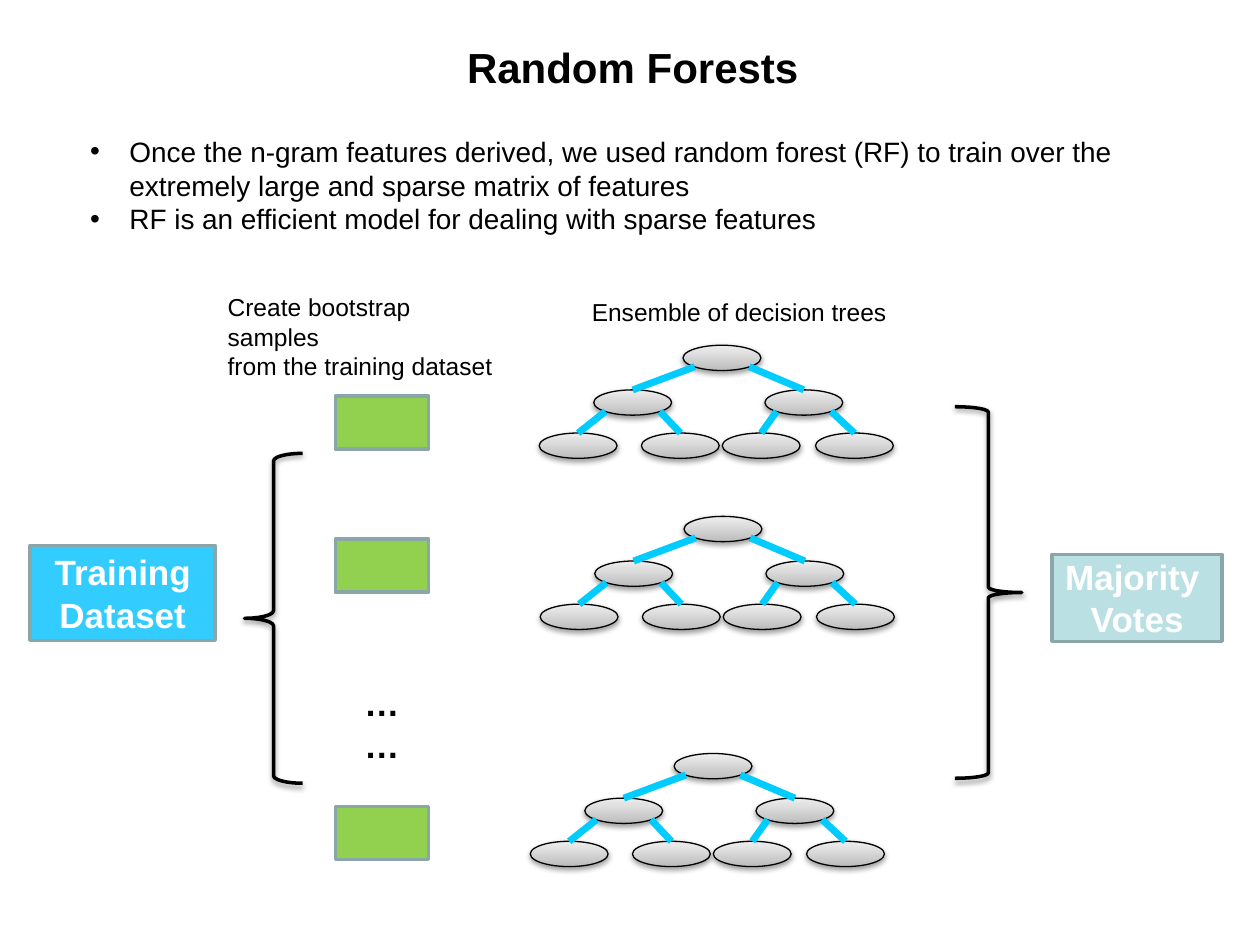
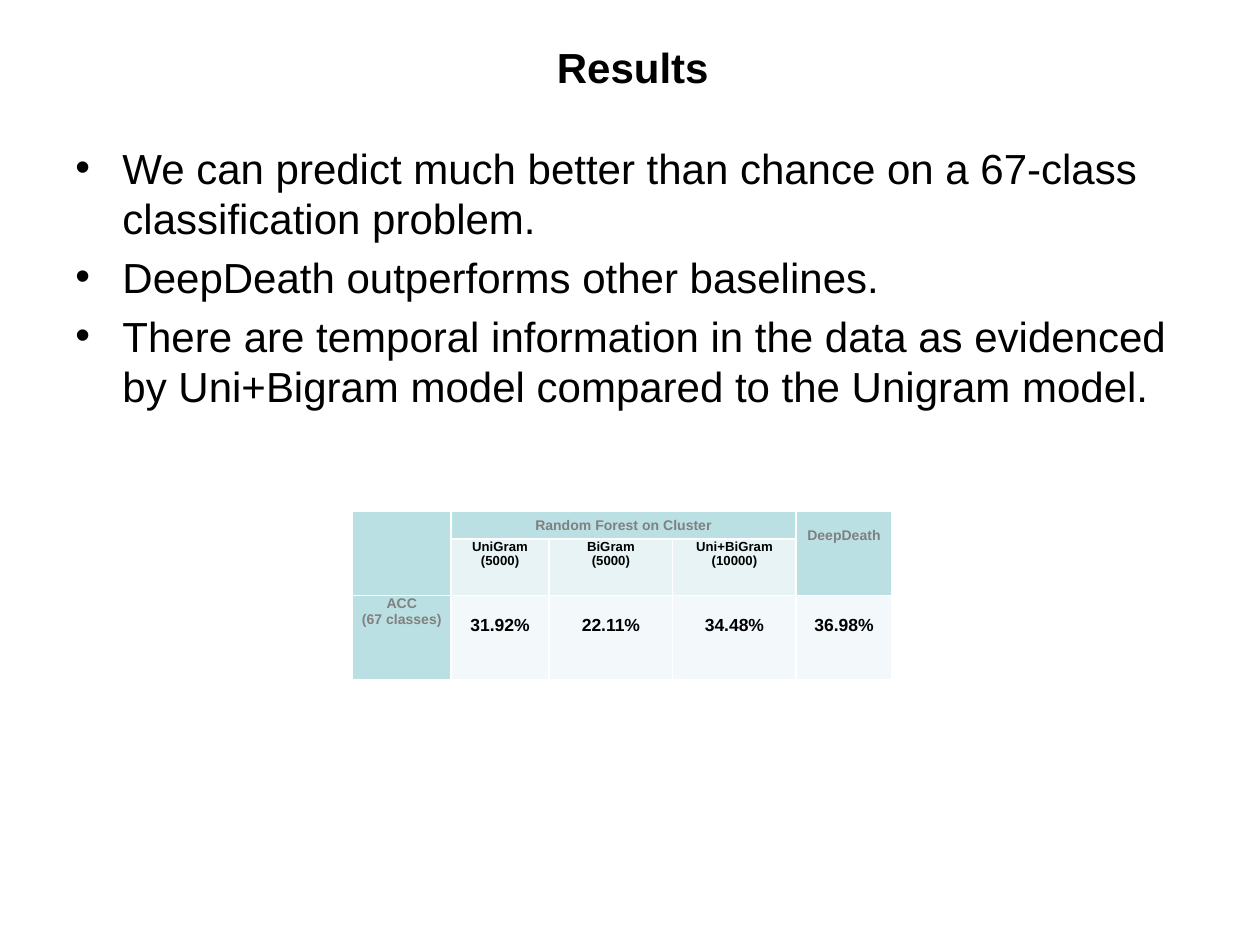
"""Build two slides on random forests: the ensemble diagram and its results."""

from dataclasses import dataclass
from typing import NamedTuple

from lxml import etree
from pptx import Presentation
from pptx.dml.color import RGBColor
from pptx.enum.shapes import MSO_CONNECTOR, MSO_SHAPE
from pptx.enum.text import MSO_ANCHOR, PP_ALIGN
from pptx.oxml.ns import qn
from pptx.presentation import Presentation as PresentationType
from pptx.shapes.autoshape import Shape
from pptx.shapes.group import GroupShape
from pptx.slide import Slide
from pptx.text.text import TextFrame
from pptx.util import Cm, Pt

RECTANGLE = MSO_SHAPE.RECTANGLE
ELLIPSE = MSO_SHAPE.OVAL
LEFT_BRACE = MSO_SHAPE.LEFT_BRACE
RIGHT_BRACE = MSO_SHAPE.RIGHT_BRACE
STRAIGHT = MSO_CONNECTOR.STRAIGHT
TOP = MSO_ANCHOR.TOP
MIDDLE = MSO_ANCHOR.MIDDLE
LEFT = PP_ALIGN.LEFT
CENTER = PP_ALIGN.CENTER
TITLE_ONLY = 5


@dataclass(frozen=True)
class Theme:
    font: str = "Arial"
    black: str = "000000"
    white: str = "FFFFFF"
    grey: str = "808080"
    outline: str = "8AA6A8"
    training: str = "33CCFF"
    sample: str = "92D050"
    teal: str = "BBE0E3"
    teal_light: str = "E7F3F4"
    teal_pale: str = "F3F9FA"
    edge: str = "00CCFF"
    node_dark: str = "BDBDBD"
    node_light: str = "EEEEEE"
    title_size: float = 24
    box_size: float = 20
    body_size: float = 16
    label_size: float = 14
    header_size: float = 8
    subheader_size: float = 7.5
    value_size: float = 10


THEME = Theme()


class Box(NamedTuple):
    left: float
    top: float
    width: float
    height: float

    def lengths(self) -> tuple[Cm, ...]:
        return tuple(Cm(value) for value in self)


@dataclass(frozen=True)
class TextStyle:
    size: float
    color: str = THEME.black
    bold: bool = False
    align: PP_ALIGN = LEFT


@dataclass(frozen=True)
class BulletStyle:
    indent: float
    space_before: float = 0


@dataclass(frozen=True)
class Label:
    box: Box
    text: str
    style: TextStyle
    bullet: BulletStyle | None = None


@dataclass(frozen=True)
class Block:
    box: Box
    fill: str
    text: str = ""


class TreeNode(NamedTuple):
    dx: float
    dy: float
    parent: int | None = None
    side: int = 0


@dataclass(frozen=True)
class ResultCell:
    row: int
    column: int
    text: str
    fill: str
    style: TextStyle
    rows: int = 1
    columns: int = 1
    margin_top: float = 0
    anchor: MSO_ANCHOR = TOP


TITLE_STYLE = TextStyle(THEME.title_size, bold=True, align=CENTER)
BLOCK_STYLE = TextStyle(THEME.box_size, THEME.white, True, CENTER)
HEADER_STYLE = TextStyle(THEME.header_size, THEME.grey, True, CENTER)
SUBHEADER_STYLE = TextStyle(THEME.subheader_size, bold=True, align=CENTER)
VALUE_STYLE = TextStyle(THEME.value_size, bold=True, align=CENTER)
LABEL_STYLE = TextStyle(THEME.label_size)

TITLE_BOX = Box(0.64, 0.36, 24.23, 1.98)
SAMPLE_TOPS = (7.98, 10.87, 16.26)
BLOCKS = (
    Block(Box(0.61, 11, 3.73, 1.91), THEME.training, "Training Dataset"),
    Block(Box(21.21, 11.18, 3.43, 1.75), THEME.teal, "Majority \nVotes"),
    *(Block(Box(6.76, top, 1.88, 1.07), THEME.sample) for top in SAMPLE_TOPS),
)
FOREST_LABELS = (
    Label(Box(6.76, 13.61, 1.88, 1.96), "……",
          TextStyle(THEME.box_size, bold=True, align=CENTER)),
    Label(Box(4.34, 5.77, 6.15, 1.45),
          "Create bootstrap samples\nfrom the training dataset", LABEL_STYLE),
    Label(Box(11.68, 5.87, 12.34, 0.86), "Ensemble of decision trees", LABEL_STYLE),
    Label(Box(1.57, 2.59, 22.05, 2.31),
          "Once the n-gram features derived, we used random forest (RF) to train "
          "over the extremely large and sparse matrix of features\n"
          "RF is an efficient model for dealing with sparse features",
          TextStyle(THEME.body_size), BulletStyle(0.79)),
)
FINDINGS = Label(
    Box(1.27, 2.74, 22.86, 6.5),
    "We can predict much better than chance on a 67-class classification problem.\n"
    "DeepDeath outperforms other baselines.\n"
    "There are temporal information in the data as evidenced by Uni+Bigram model "
    "compared to the Unigram model.",
    TextStyle(THEME.title_size), BulletStyle(0.95, 4.8),
)

NODE_WIDTH, NODE_HEIGHT = 1.57, 0.51
DIAGONAL = 0.35
TREE_ORIGINS = ((13.77, 6.96), (13.79, 10.41), (13.59, 15.19))
TREE_NODES = (
    TreeNode(0, 0),
    TreeNode(-1.8, 0.9, 0, -1),
    TreeNode(1.65, 0.9, 0, 1),
    TreeNode(-2.9, 1.77, 1, -1),
    TreeNode(-0.84, 1.77, 1, 1),
    TreeNode(0.79, 1.77, 2, -1),
    TreeNode(2.67, 1.77, 2, 1),
)

TABLE_BOX = Box(7.11, 10.31, 10.87, 3.4)
COLUMN_WIDTHS = (1.98, 1.98, 2.49, 2.49, 1.93)
ROW_HEIGHTS = (0.56, 1.14, 1.7)
SUBHEADERS = ("UniGram\n(5000)", "BiGram\n(5000)", "Uni+BiGram\n(10000)")
ACCURACIES = ("31.92%", "22.11%", "34.48%", "36.98%")
RESULT_CELLS = (
    ResultCell(0, 0, "", THEME.teal, HEADER_STYLE, rows=2),
    ResultCell(0, 1, "Random Forest on Cluster", THEME.teal, HEADER_STYLE,
               columns=3, anchor=MIDDLE),
    ResultCell(0, 4, "DeepDeath", THEME.teal, HEADER_STYLE, rows=2, margin_top=0.32),
    ResultCell(2, 0, "ACC\n(67 classes)", THEME.teal, HEADER_STYLE),
    *(ResultCell(1, column, text, THEME.teal_light, SUBHEADER_STYLE)
      for column, text in enumerate(SUBHEADERS, 1)),
    *(ResultCell(2, column, text, THEME.teal_pale, VALUE_STYLE, margin_top=0.4)
      for column, text in enumerate(ACCURACIES, 1)),
)


def color(value: str) -> RGBColor:
    return RGBColor.from_string(value)


def write_text(frame: TextFrame, text: str, style: TextStyle) -> None:
    frame.word_wrap = True
    frame.text = text
    for paragraph in frame.paragraphs:
        paragraph.alignment = style.align
        for run in paragraph.runs:
            run.font.name = THEME.font
            run.font.size = Pt(style.size)
            run.font.bold = style.bold
            run.font.color.rgb = color(style.color)


def add_bullets(frame: TextFrame, bullet: BulletStyle) -> None:
    for paragraph in frame.paragraphs:
        paragraph.space_before = Pt(bullet.space_before)
        properties = paragraph._p.get_or_add_pPr()
        properties.set("marL", str(Cm(bullet.indent)))
        properties.set("indent", str(-Cm(bullet.indent)))
        etree.SubElement(properties, qn("a:buFont"), typeface=THEME.font)
        etree.SubElement(properties, qn("a:buChar"), char="•")


def add_label(slide: Slide, label: Label) -> None:
    frame = slide.shapes.add_textbox(*label.box.lengths()).text_frame
    write_text(frame, label.text, label.style)
    if label.bullet:
        add_bullets(frame, label.bullet)


def add_block(slide: Slide, block: Block) -> None:
    shape = slide.shapes.add_shape(RECTANGLE, *block.box.lengths())
    shape.shadow.inherit = False
    shape.fill.solid()
    shape.fill.fore_color.rgb = color(block.fill)
    shape.line.color.rgb = color(THEME.outline)
    shape.line.width = Pt(2)
    if block.text:
        write_text(shape.text_frame, block.text, BLOCK_STYLE)


def outline_with_shadow(shape: Shape, width: float) -> None:
    shape.line.color.rgb = color(THEME.black)
    shape.line.width = Pt(width)
    shape.shadow.inherit = False
    effects = shape.element.spPr.find(qn("a:effectLst"))
    shadow = etree.SubElement(effects, qn("a:outerShdw"), blurRad="40000",
                              dist="20000", dir="5400000", rotWithShape="0")
    shade = etree.SubElement(shadow, qn("a:srgbClr"), val=THEME.black)
    etree.SubElement(shade, qn("a:alpha"), val="38000")


def add_brace(slide: Slide, kind: MSO_SHAPE, box: Box, curve: float) -> None:
    brace = slide.shapes.add_shape(kind, *box.lengths())
    brace.adjustments[0] = curve
    brace.fill.background()
    outline_with_shadow(brace, 2)


def add_node(group: GroupShape, left: float, top: float) -> None:
    box = Box(left, top, NODE_WIDTH, NODE_HEIGHT)
    shape = group.shapes.add_shape(ELLIPSE, *box.lengths())
    shape.fill.gradient()
    shape.fill.gradient_angle = 90
    for stop, shade in zip(shape.fill.gradient_stops, (THEME.node_dark, THEME.node_light)):
        stop.color.rgb = color(shade)
    outline_with_shadow(shape, 0.75)


def add_edge(group: GroupShape, left: float, top: float, child: TreeNode) -> None:
    parent = TREE_NODES[child.parent]
    start_x = left + parent.dx + NODE_WIDTH * (0.5 + child.side * DIAGONAL)
    start_y = top + parent.dy + NODE_HEIGHT * (0.5 + DIAGONAL)
    end_x = left + child.dx + NODE_WIDTH / 2
    ends = (start_x, start_y, end_x, top + child.dy)
    edge = group.shapes.add_connector(STRAIGHT, *(Cm(value) for value in ends))
    edge.line.color.rgb = color(THEME.edge)
    edge.line.width = Pt(4)
    etree.SubElement(edge.element.spPr, qn("a:effectLst"))


def add_tree(slide: Slide, left: float, top: float) -> None:
    group = slide.shapes.add_group_shape()
    for node in TREE_NODES:
        add_node(group, left + node.dx, top + node.dy)
    for node in TREE_NODES[1:]:
        add_edge(group, left, top, node)


def add_results_table(slide: Slide) -> None:
    table = slide.shapes.add_table(
        len(ROW_HEIGHTS), len(COLUMN_WIDTHS), *TABLE_BOX.lengths()).table
    table.first_col = True
    for column, width in zip(table.columns, COLUMN_WIDTHS):
        column.width = Cm(width)
    for row, height in zip(table.rows, ROW_HEIGHTS):
        row.height = Cm(height)
    for item in RESULT_CELLS:
        cell = table.cell(item.row, item.column)
        if item.rows * item.columns > 1:
            cell.merge(table.cell(item.row + item.rows - 1, item.column + item.columns - 1))
        write_text(cell.text_frame, item.text, item.style)
        cell.fill.solid()
        cell.fill.fore_color.rgb = color(item.fill)
        cell.vertical_anchor = item.anchor
        cell.margin_left = cell.margin_right = Cm(0.18)
        cell.margin_top, cell.margin_bottom = Cm(item.margin_top), Cm(0)
    for cell in table.iter_cells():
        if not cell.text_frame.text:
            cell.margin_top = cell.margin_bottom = Cm(0)
            etree.SubElement(cell.text_frame.paragraphs[0]._p, qn("a:endParaRPr"),
                             sz=str(THEME.header_size * 100))


def add_titled_slide(presentation: PresentationType, text: str) -> Slide:
    slide = presentation.slides.add_slide(presentation.slide_layouts[TITLE_ONLY])
    title = slide.shapes.title
    title.left, title.top, title.width, title.height = TITLE_BOX.lengths()
    title.text_frame.vertical_anchor = MIDDLE
    write_text(title.text_frame, text, TITLE_STYLE)
    return slide


def main() -> None:
    presentation = Presentation()
    presentation.slide_width, presentation.slide_height = Cm(25.4), Cm(19.05)
    forest = add_titled_slide(presentation, "Random Forests")
    for block in BLOCKS:
        add_block(forest, block)
    add_brace(forest, LEFT_BRACE, Box(4.93, 9.14, 1.17, 6.65), 0.13)
    for left, top in TREE_ORIGINS:
        add_tree(forest, left, top)
    add_brace(forest, RIGHT_BRACE, Box(19.25, 8.2, 1.35, 7.49), 0.08)
    for label in FOREST_LABELS:
        add_label(forest, label)
    results = add_titled_slide(presentation, "Results")
    add_label(results, FINDINGS)
    add_results_table(results)
    presentation.save("out.pptx")


if __name__ == "__main__":
    main()
